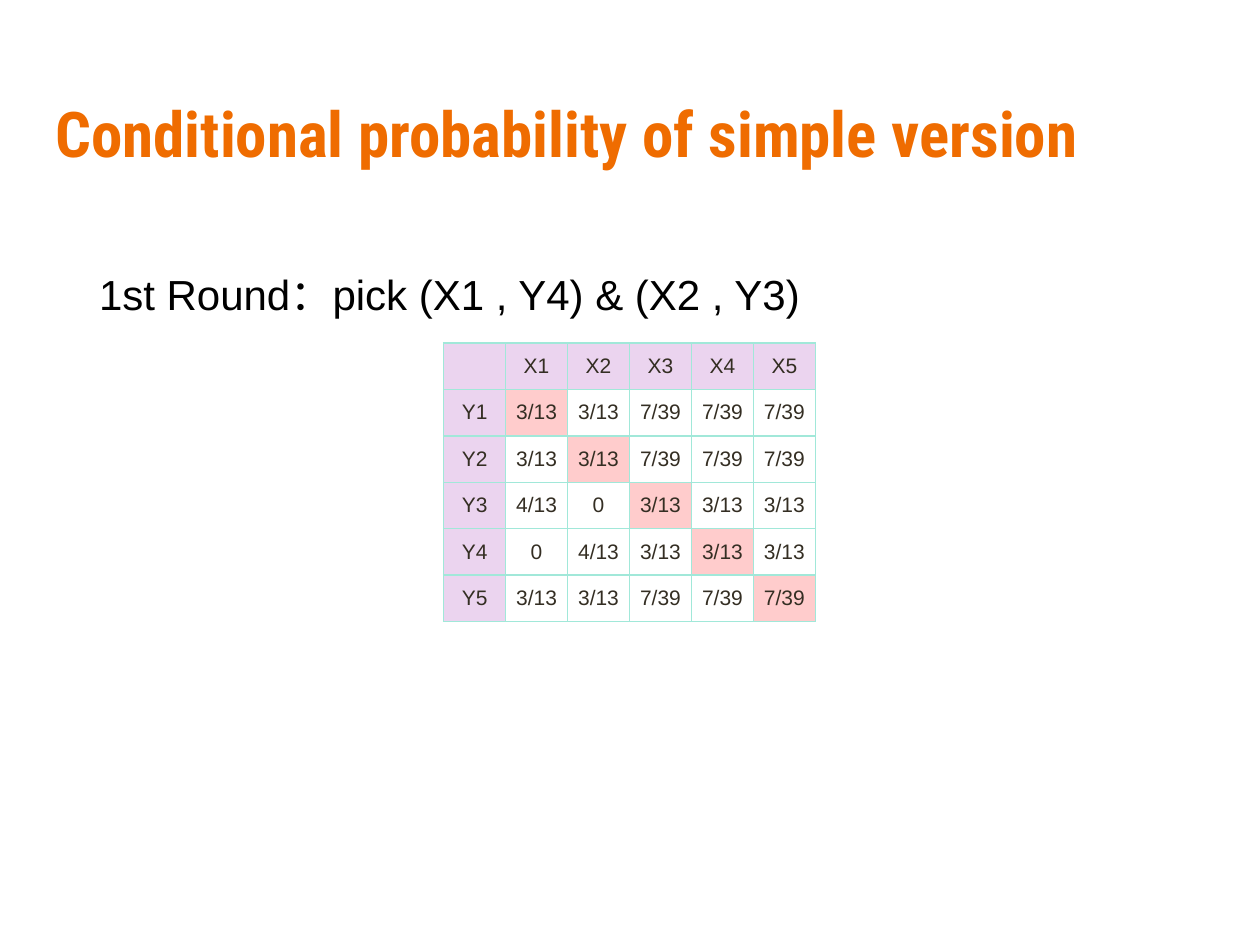
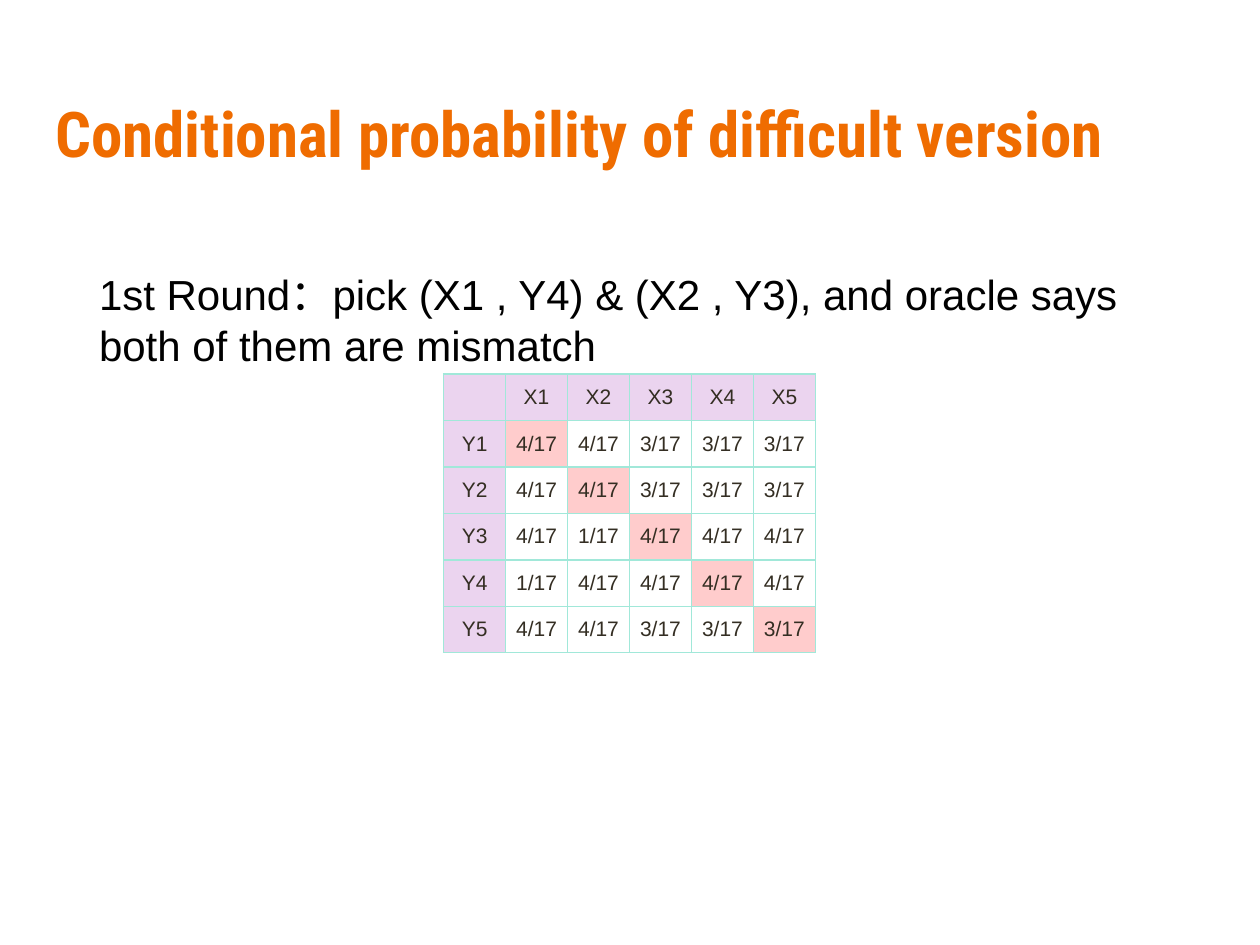
import pptx
import pptx.util
import pptx.dml.color
import pptx.enum.text
import pptx.oxml
import pptx.oxml.ns
import lxml.etree

Pt = pptx.util.Pt
COLORS = {
    "title": "EF6C00",
    "text": "000000",
    "cell": "342E23",
    "header": "EBD4EF",
    "diagonal": "FFCCCC",
    "border": "A1E8D9",
}


def rgb(name):
    return pptx.dml.color.RGBColor.from_string(COLORS[name])


class Deck:
    """Holds the shared style and the current slide."""

    col_w, row_h = 35.43, 26.55
    table_x = 253.5

    def __init__(self):
        self.prs = pptx.Presentation()
        self.prs.slide_width, self.prs.slide_height = Pt(720), Pt(540)
        self.s = None

    def font(self, p, name, size, color, bold=False):
        p.font.name, p.font.size, p.font.bold = name, Pt(size), bold
        p.font.color.rgb = rgb(color)

    def slide(self, title):
        self.s = self.prs.slides.add_slide(self.prs.slide_layouts[5])
        sp = self.s.shapes.title
        sp.left, sp.top, sp.width, sp.height = Pt(24.5), Pt(46.8), Pt(671), Pt(74.2)
        tf = sp.text_frame
        tf.text = title
        tf.auto_size = pptx.enum.text.MSO_AUTO_SIZE.NONE
        tf.vertical_anchor = pptx.enum.text.MSO_ANCHOR.TOP
        tf.margin_left = tf.margin_right = tf.margin_top = tf.margin_bottom = Pt(7.2)
        p = tf.paragraphs[0]
        p.alignment = pptx.enum.text.PP_ALIGN.LEFT
        self.font(p, "Roboto Condensed", 36, "title", True)

    def text(self, text, width, height):
        sp = self.s.shapes.add_textbox(Pt(49.5), Pt(150), Pt(width), Pt(height))
        tf = sp.text_frame
        tf.word_wrap = True
        tf.auto_size = pptx.enum.text.MSO_AUTO_SIZE.SHAPE_TO_FIT_TEXT
        tf.text = text
        self.font(tf.paragraphs[0], "Arial", 24, "text")

    def borders(self, cell):
        tcPr = cell._tc.get_or_add_tcPr()
        for side in ("lnL", "lnR", "lnT", "lnB"):
            ln = lxml.etree.SubElement(tcPr, pptx.oxml.ns.qn(f"a:{side}"), w=str(Pt(1)))
            fill = lxml.etree.SubElement(ln, pptx.oxml.ns.qn("a:solidFill"))
            lxml.etree.SubElement(fill, pptx.oxml.ns.qn("a:srgbClr"), val=COLORS["border"])

    def cell(self, cell, text, fill):
        self.borders(cell)
        if fill:
            cell.fill.solid()
            cell.fill.fore_color.rgb = rgb(fill)
        else:
            cell.fill.background()
        cell.vertical_anchor = pptx.enum.text.MSO_ANCHOR.MIDDLE
        cell.margin_left = cell.margin_right = Pt(5)
        cell.margin_top = cell.margin_bottom = Pt(2.8)
        cell.text = text
        p = cell.text_frame.paragraphs[0]
        p.alignment = pptx.enum.text.PP_ALIGN.CENTER
        self.font(p, "Arial", 12, "cell")

    def matrix(self, top, values):
        """Square table with X and Y headers and a marked diagonal."""
        n = len(values)
        rows = [[""] + [f"X{i}" for i in range(1, n + 1)]]
        rows += [[f"Y{i}"] + line.split() for i, line in enumerate(values, 1)]
        size = n + 1
        table = self.s.shapes.add_table(
            size, size, Pt(self.table_x), Pt(top),
            Pt(size * self.col_w), Pt(size * self.row_h)).table
        table.first_row = table.horz_banding = False
        for i, row in enumerate(rows):
            table.columns[i].width = Pt(self.col_w)
            table.rows[i].height = Pt(self.row_h)
            for j, text in enumerate(row):
                fill = "header" if 0 in (i, j) else "diagonal" if i == j else None
                self.cell(table.cell(i, j), text, fill)


def main():
    deck = Deck()

    # Simple version
    deck.slide("Conditional probability of simple version")
    deck.matrix(196, [
        "3/13 3/13 7/39 7/39 7/39",
        "3/13 3/13 7/39 7/39 7/39",
        "4/13 0 3/13 3/13 3/13",
        "0 4/13 3/13 3/13 3/13",
        "3/13 3/13 7/39 7/39 7/39",
    ])
    deck.text("1st Round：pick (X1 , Y4) & (X2 , Y3)", 417, 36)

    # Difficult version
    deck.slide("Conditional probability of difficult version")
    deck.matrix(213.8, [
        "4/17 4/17 3/17 3/17 3/17",
        "4/17 4/17 3/17 3/17 3/17",
        "4/17 1/17 4/17 4/17 4/17",
        "1/17 4/17 4/17 4/17 4/17",
        "4/17 4/17 3/17 3/17 3/17",
    ])
    deck.text("1st Round：pick (X1 , Y4) & (X2 , Y3), and oracle says "
              "both of them are mismatch", 621.5, 65.5)

    deck.prs.save("out.pptx")


if __name__ == "__main__":
    main()
